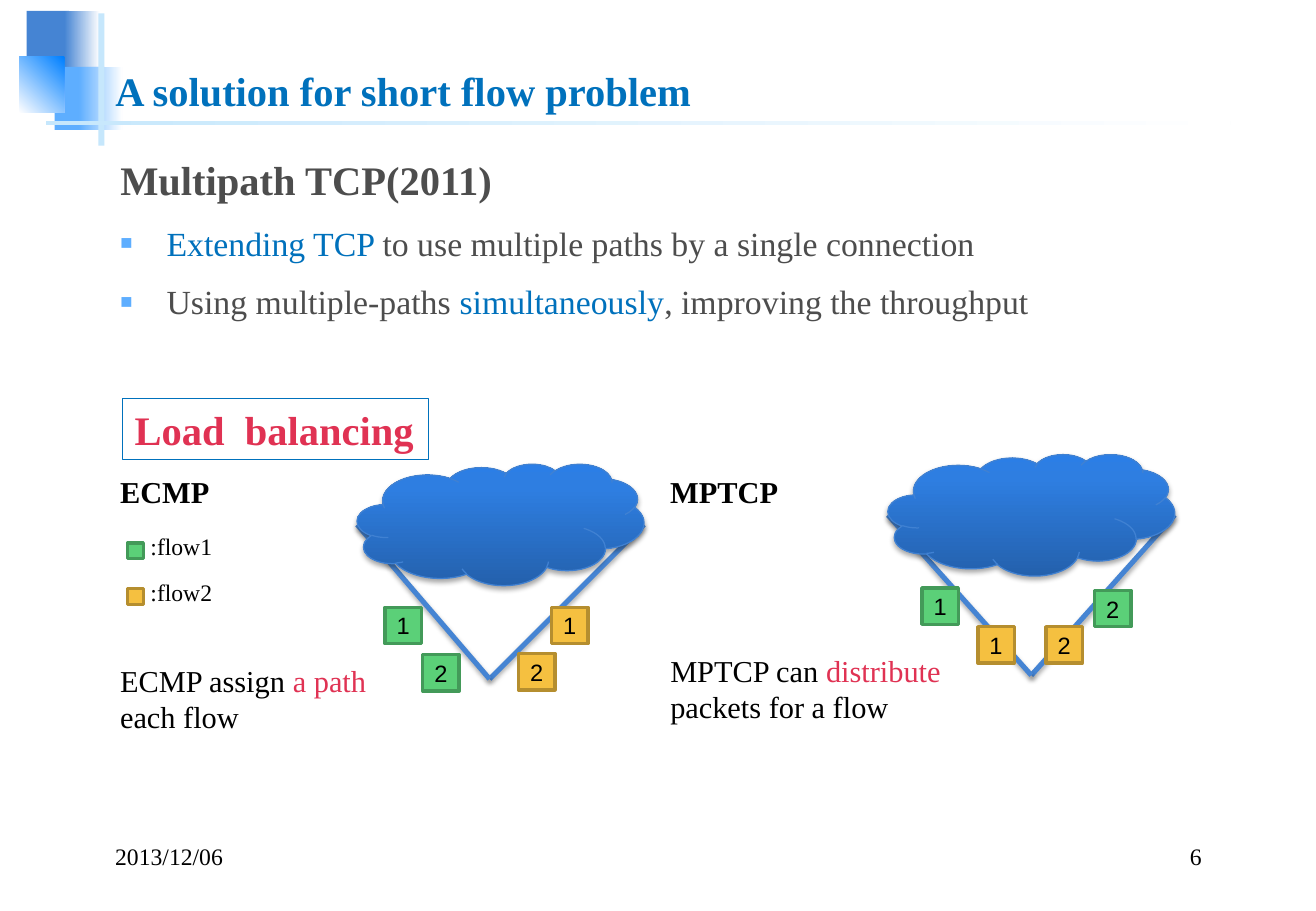
from dataclasses import dataclass
from typing import Any

from lxml import etree
from pptx import Presentation
from pptx.dml.color import RGBColor
from pptx.enum.shapes import MSO_CONNECTOR, MSO_SHAPE
from pptx.enum.text import MSO_ANCHOR, MSO_AUTO_SIZE, PP_ALIGN
from pptx.oxml.ns import qn
from pptx.util import Pt

RECT, CLOUD, STRAIGHT = MSO_SHAPE.RECTANGLE, MSO_SHAPE.CLOUD, MSO_CONNECTOR.STRAIGHT
TOP, MIDDLE, BOTTOM = MSO_ANCHOR.TOP, MSO_ANCHOR.MIDDLE, MSO_ANCHOR.BOTTOM
LEFT, CENTER, RIGHT = PP_ALIGN.LEFT, PP_ALIGN.CENTER, PP_ALIGN.RIGHT
NO_FIT = MSO_AUTO_SIZE.NONE

SERIF, SANS = "Times New Roman", "Arial"
BLACK, WHITE, GREY, BLUE, RED = "000000", "FFFFFF", "4D4D4D", "0071BC", "E03253"
STEEL, SKY, PALE = "4584D3", "5EAEFF", "C6E7FC"
GREEN, YELLOW = ("5BD078", "439A59"), ("F5C040", "B58E2F")  # fill, outline
CLOUD_STOPS = [(0, "2461AD"), (80, "2E7EE1"), (100, "2B7EE6")]
PACKET_SIZE, KEY_SIZE = 21.6, 9.4

Box = tuple[float, float, float, float]
Runs = list[tuple[str, str]]  # text, colour


@dataclass
class Ornament:
    box: Box
    start: str
    end: str = ""
    angle: float = 0


@dataclass
class Label:
    box: Box
    runs: Runs
    size: float
    bold: bool = False
    align: Any = LEFT
    anchor: Any = TOP
    wrap: bool = True


@dataclass
class Packet:
    left: float
    top: float
    number: str
    colours: tuple[str, str]


@dataclass
class Network:
    cloud: Box
    host: tuple[float, float]
    packets: list[Packet]


ORNAMENTS = [
    Ornament((15.8, 6.5, 25.2, 37.4), STEEL),
    Ornament((38.2, 6.5, 20.9, 37.4), STEEL, WHITE),
    Ornament((32.4, 39.6, 29.5, 37.4), SKY),
    Ornament((46.8, 39.6, 25.9, 37.4), SKY, WHITE),
    Ornament((11.5, 33.8, 26.6, 33.1), WHITE, "0080FF", 315),
    Ornament((58.3, 7.9, 3.6, 78.5), PALE),
    Ornament((27.4, 72, 702, 2.2), PALE, WHITE),
]
NETWORKS = [
    Network((211.7, 275, 170, 72), (290.2, 402.5), [
        Packet(228.2, 360, "1", GREEN), Packet(250.6, 388, "2", GREEN),
        Packet(326.9, 360, "1", YELLOW), Packet(307.4, 387.4, "2", YELLOW)]),
    Network((526.3, 269.3, 170, 72), (611.3, 400.3), [
        Packet(546.5, 348.5, "1", GREEN), Packet(648.7, 350, "2", GREEN),
        Packet(579.6, 371.5, "1", YELLOW), Packet(619.9, 371.5, "2", YELLOW)]),
]
LABELS = [
    Label((61.2, 496.8, 162.7, 22.7), [("2013/12/06", BLACK)], 14, anchor=BOTTOM),
    Label((556.6, 496.8, 162.7, 22.7), [("6", BLACK)], 14, align=RIGHT, anchor=BOTTOM),
    Label((64.1, 277.2, 68.4, 28.8), [("ECMP", BLACK)], 18, bold=True, wrap=False),
    Label((390.2, 277.2, 79.2, 28.8), [("MPTCP", BLACK)], 18, bold=True, wrap=False),
    Label((64.1, 388.8, 186.5, 51.1),
          [("ECMP assign ", BLACK), ("a path", RED), (" each flow", BLACK)], 18),
    Label((390.2, 383, 178.6, 51.1),
          [("MPTCP can ", BLACK), ("distribute", RED), (" packets for a flow", BLACK)], 18),
]
LOAD_BALANCING = Label((72.7, 236.2, 181.4, 36), [("Load  balancing", RED)], 24,
                       bold=True, anchor=MIDDLE, wrap=False)
BULLETS: list[Runs] = [
    [("Extending TCP ", BLUE), ("to use multiple paths by a single connection", GREY)],
    [("Using multiple-paths ", GREY), ("simultaneously", BLUE),
     (", improving the throughput", GREY)],
]


def colour(target: Any, value: str) -> None:
    target.rgb = RGBColor.from_string(value)


def apply(target: Any, **values: Any) -> None:
    for name, value in values.items():
        setattr(target, name, value)


def place(shape: Any, box: Box) -> None:
    apply(shape, **dict(zip(("left", "top", "width", "height"), map(Pt, box))))


def write(paragraph: Any, runs: Runs, size: float, bold: bool = False, font: str = SERIF) -> None:
    for text, value in runs:
        run = paragraph.add_run()
        run.text = text
        apply(run.font, size=Pt(size), bold=bold, name=font)
        colour(run.font.color, value)


def add_child(parent: Any, tag: str, **attributes: str) -> Any:
    return etree.SubElement(parent, qn(tag), attributes)


def set_effects(shape: Any, shadow: bool) -> None:
    effects = add_child(shape._element.spPr, "a:effectLst")
    if shadow:
        outer = add_child(effects, "a:outerShdw", blurRad=str(Pt(3.1)), dist=str(Pt(1.8)),
                          dir="5400000", algn="ctr", rotWithShape="0")
        add_child(add_child(outer, "a:srgbClr", val=BLACK), "a:alpha", val="35000")


def set_gradient(fill: Any, stops: list[tuple[int, str]], angle: float) -> None:
    fill.gradient()
    fill.gradient_angle = (360 - angle) % 360
    stop_list = fill.gradient_stops[0]._gs.getparent()
    for old in list(stop_list):
        stop_list.remove(old)
    for position, value in stops:
        add_child(add_child(stop_list, "a:gs", pos=str(position * 1000)), "a:srgbClr", val=value)


def add_block(slide: Any, kind: Any, box: Box, fill: str = "", line: str = "",
              width: float = 0, shadow: bool = False) -> Any:
    block = slide.shapes.add_shape(kind, *map(Pt, box))
    if fill:
        block.fill.solid()
        colour(block.fill.fore_color, fill)
    if line:
        colour(block.line.color, line)
        block.line.width = Pt(width)
    else:
        block.line.fill.background()
    set_effects(block, shadow)
    return block


def fill_label(shape: Any, label: Label) -> None:
    apply(shape.text_frame, word_wrap=label.wrap, vertical_anchor=label.anchor)
    paragraph = shape.text_frame.paragraphs[0]
    paragraph.alignment = label.align
    write(paragraph, label.runs, label.size, label.bold)


def add_label(slide: Any, label: Label) -> None:
    fill_label(slide.shapes.add_textbox(*map(Pt, label.box)), label)


def add_packet(slide: Any, packet: Packet) -> None:
    square = add_block(slide, RECT, (packet.left, packet.top, PACKET_SIZE, PACKET_SIZE),
                       *packet.colours, width=2)
    apply(square.text_frame, word_wrap=False, vertical_anchor=MIDDLE, margin_left=0,
          margin_right=0, margin_top=0, margin_bottom=0)
    paragraph = square.text_frame.paragraphs[0]
    paragraph.alignment = CENTER
    write(paragraph, [(packet.number, BLACK)], 14, font=SANS)


def add_network(slide: Any, network: Network) -> None:
    left, top, width, height = network.cloud
    for edge in (left + width, left):
        link = slide.shapes.add_connector(
            STRAIGHT, *map(Pt, (*network.host, edge, top + height / 2)))
        colour(link.line.color, STEEL)
        link.line.width = Pt(3)
        set_effects(link, shadow=True)
    cloud = add_block(slide, CLOUD, network.cloud, line="4081D2", width=0.75, shadow=True)
    set_gradient(cloud.fill, CLOUD_STOPS, 270)
    for packet in network.packets:
        add_packet(slide, packet)


def fill_body(body: Any) -> None:
    for index, runs in enumerate([[("Multipath TCP(2011)", GREY)], *BULLETS]):
        paragraph = body.text_frame.paragraphs[0] if index == 0 else body.text_frame.add_paragraph()
        properties = paragraph._p.get_or_add_pPr()
        indent = Pt(27.4) if index else 0
        properties.set("marL", str(indent))
        properties.set("indent", str(-indent))
        if index:
            add_child(add_child(properties, "a:buClr"), "a:srgbClr", val=SKY)
            add_child(properties, "a:buSzPct", val="60000")
            add_child(properties, "a:buFont", typeface=SANS)
            add_child(properties, "a:buChar", char="■")
        else:
            add_child(properties, "a:buNone")
        apply(paragraph, line_spacing=1.2, space_before=Pt(6 if index else 0), alignment=LEFT)
        write(paragraph, runs, 20 if index else 24, bold=index == 0)


def main() -> None:
    deck = Presentation()
    apply(deck, slide_width=Pt(780), slide_height=Pt(540))
    slide = deck.slides.add_slide(deck.slide_layouts[1])

    # Corner ornament, behind the title
    for ornament in ORNAMENTS:
        block = add_block(slide, RECT, ornament.box, ornament.start)
        if ornament.end:
            set_gradient(block.fill, [(0, ornament.start), (100, ornament.end)], ornament.angle)

    # Title and list
    title, body = slide.shapes.title, slide.placeholders[1]
    for holder, box, anchor in ((title, (61.2, 25.9, 668.9, 45.4), BOTTOM),
                                (body, (64.1, 82.8, 652.3, 178.6), TOP)):
        place(holder, box)
        apply(holder.text_frame, auto_size=NO_FIT, word_wrap=True, vertical_anchor=anchor)
        holder.element.getparent().append(holder.element)
    title.text_frame.paragraphs[0].alignment = LEFT
    write(title.text_frame.paragraphs[0], [("A solution for short flow problem", BLUE)], 24, True)
    fill_body(body)

    # Networks with their packets
    for network in NETWORKS:
        add_network(slide, network)

    # Legend
    for row, (name, colours) in enumerate(((":flow1", GREEN), (":flow2", YELLOW))):
        shift = 27 * row
        add_block(slide, RECT, (75.6, 321.8 + shift, KEY_SIZE, KEY_SIZE), *colours, width=2)
        add_label(slide, Label((82.1, 311.8 + shift, 51.1, 24.5), [(name, BLACK)], 14, wrap=False))

    # Captions, footer and heading frame
    for label in LABELS:
        add_label(slide, label)
    frame = add_block(slide, RECT, LOAD_BALANCING.box, WHITE, BLUE, 0.75)
    fill_label(frame, LOAD_BALANCING)

    deck.save("out.pptx")


if __name__ == "__main__":
    main()
